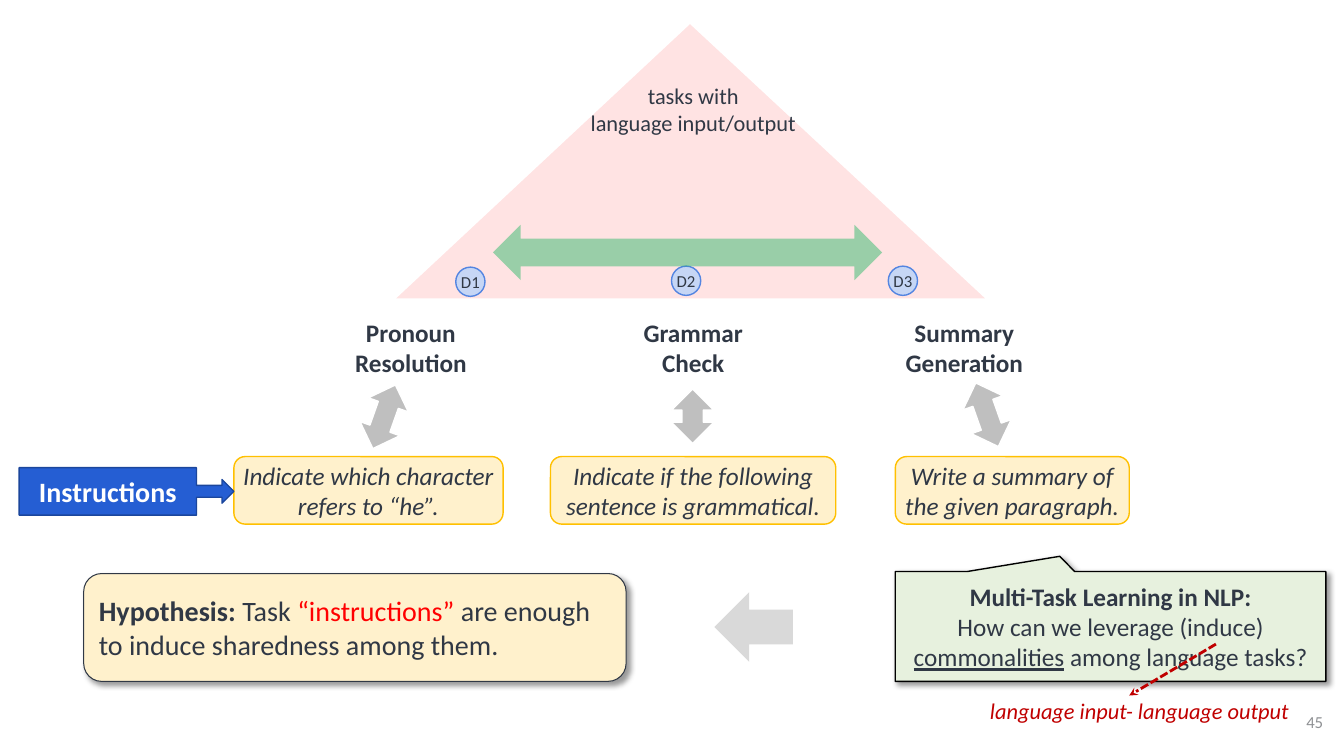
from dataclasses import dataclass
from typing import Optional

from lxml.etree import SubElement
from pptx import Presentation
from pptx.dml.color import RGBColor as RGB
from pptx.enum.dml import MSO_LINE as Dash
from pptx.enum.shapes import MSO_CONNECTOR as Connector, MSO_SHAPE as Kind
from pptx.enum.text import MSO_ANCHOR as Anchor, MSO_AUTO_SIZE as AutoSize, PP_ALIGN as Align
from pptx.oxml.ns import qn
from pptx.util import Inches, Pt


@dataclass(frozen=True)
class Theme:
    font: str = "Calibri"
    ink: str = "303845"
    white: str = "FFFFFF"
    black: str = "000000"
    red: str = "FF0000"
    dark_red: str = "C00000"
    green: str = "00B050"
    pale_green: str = "E7F1DE"
    cream: str = "FFF1CC"
    gold: str = "FFC000"
    blue: str = "255ED3"
    navy: str = "1B469C"
    pale_blue: str = "C6D6F5"
    mid_blue: str = "5485E1"
    grey: str = "BFBFBF"
    pale_grey: str = "D9D9D9"
    number_grey: str = "8F9194"
    small: int = 12
    note: int = 16
    body: int = 18
    large: int = 20


THEME = Theme()
NO_INSETS = (0, 0, 0, 0)
Place = tuple[float, float, float, float]


@dataclass(frozen=True)
class Span:
    text: str
    bold: Optional[bool] = None
    underline: Optional[bool] = None
    color: Optional[str] = None


@dataclass(frozen=True)
class Text:
    paragraphs: tuple[tuple[Span, ...], ...]
    size: int = THEME.body
    color: str = THEME.ink
    bold: bool = False
    italic: bool = False
    align: Align = Align.CENTER
    anchor: Anchor = Anchor.TOP
    insets: Place = (0.1, 0.05, 0.1, 0.05)
    grow: bool = False


@dataclass(frozen=True)
class Figure:
    kind: Kind
    place: Place
    fill: str
    line: Optional[str] = None
    weight: float = 1
    opacity: int = 100
    turn: float = 0
    adjustments: tuple[float, ...] = ()
    shadow: bool = False
    text: Optional[Text] = None


def plain(*paragraphs: str, **style) -> Text:
    """Text with one span per paragraph; a vertical tab breaks the line."""
    return Text(tuple((Span(words),) for words in paragraphs), **style)


def write_span(para, span: Span) -> None:
    for index, words in enumerate(span.text.split("\v")):
        if index:
            para.add_line_break()
        if words:
            run = para.add_run()
            run.text = words
            if span.bold is not None:
                run.font.bold = span.bold
            if span.underline is not None:
                run.font.underline = span.underline
            if span.color:
                run.font.color.rgb = RGB.from_string(span.color)


def write_text(box, text: Text) -> None:
    frame = box.text_frame
    frame.word_wrap = True
    frame.vertical_anchor = text.anchor
    frame.auto_size = AutoSize.SHAPE_TO_FIT_TEXT if text.grow else AutoSize.NONE
    (frame.margin_left, frame.margin_top,
     frame.margin_right, frame.margin_bottom) = map(Inches, text.insets)
    for index, spans in enumerate(text.paragraphs):
        para = frame.add_paragraph() if index else frame.paragraphs[0]
        para.alignment = text.align
        font = para.font
        font.name, font.size = THEME.font, Pt(text.size)
        font.bold, font.italic = text.bold, text.italic
        font.color.rgb = RGB.from_string(text.color)
        for span in spans:
            write_span(para, span)


def draw_label(page, place: Place, text: Text) -> None:
    write_text(page.shapes.add_textbox(*map(Inches, place)), text)


def add_shadow(shape) -> None:
    effects = shape._element.spPr.find(qn("a:effectLst"))
    shadow = SubElement(effects, qn("a:outerShdw"), blurRad=str(Pt(4)), dist=str(Pt(3)),
                        dir="2700000", algn="tl", rotWithShape="0")
    color = SubElement(shadow, qn("a:srgbClr"), val=THEME.black)
    SubElement(color, qn("a:alpha"), val="40000")


def draw_figure(page, figure: Figure) -> None:
    shape = page.shapes.add_shape(figure.kind, *map(Inches, figure.place))
    shape.rotation = figure.turn
    for index, value in enumerate(figure.adjustments):
        shape.adjustments[index] = value
    shape.fill.solid()
    shape.fill.fore_color.rgb = RGB.from_string(figure.fill)
    if figure.opacity < 100:
        color = shape._element.spPr.find(qn("a:solidFill"))[0]
        SubElement(color, qn("a:alpha"), val=str(figure.opacity * 1000))
    if figure.line:
        shape.line.color.rgb = RGB.from_string(figure.line)
        shape.line.width = Pt(figure.weight)
    else:
        shape.line.fill.background()
    shape.shadow.inherit = False
    if figure.shadow:
        add_shadow(shape)
    if figure.text:
        write_text(shape, figure.text)


def draw_dashed_arrow(page, start: tuple[float, float], end: tuple[float, float]) -> None:
    arrow = page.shapes.add_connector(Connector.STRAIGHT, *map(Inches, start + end))
    arrow.line.color.rgb = RGB.from_string(THEME.dark_red)
    arrow.line.width = Pt(2)
    arrow.line.dash_style = Dash.SQUARE_DOT
    SubElement(arrow.line._get_or_add_ln(), qn("a:tailEnd"), type="stealth")
    SubElement(arrow._element.spPr, qn("a:effectLst"))


def dataset(name: str, left: float, top: float) -> Figure:
    return Figure(Kind.OVAL, (left, top, 0.29, 0.29), THEME.pale_blue, THEME.mid_blue,
                  text=plain(name, size=THEME.small, anchor=Anchor.MIDDLE, insets=NO_INSETS))


def instruction(words: str, left: float, width: float) -> Figure:
    return Figure(Kind.FLOWCHART_ALTERNATE_PROCESS, (left, 4.53, width, 0.67),
                  THEME.cream, THEME.gold,
                  text=plain(words, italic=True, insets=NO_INSETS, grow=True))


def task_arrow(left: float, top: float, height: float, turn: float) -> Figure:
    return Figure(Kind.UP_DOWN_ARROW, (left, top, 0.42, height), THEME.grey, THEME.white, turn=turn)


TASKS = (
    ((2.99, 3.1, 2.17, 0.71), plain("Pronoun\vResolution", bold=True, grow=True)),
    ((5.13, 3.1, 3.49, 0.71), plain("Grammar\vCheck", bold=True, grow=True)),
    ((8.48, 3.1, 2.17, 0.71), plain("Summary", "Generation", bold=True, grow=True)),
)
QUESTION = Text(((Span("Multi-Task Learning in NLP:\v", bold=True),
                  Span("How can we leverage (induce) "),
                  Span("commonalities", underline=True),
                  Span(" among language tasks?")),),
                anchor=Anchor.MIDDLE, insets=(0, 0.05, 0, 0.05))
HYPOTHESIS = Text(((Span("Hypothesis: ", bold=True), Span("Task "),
                    Span("“instructions”", color=THEME.red),
                    Span(" are enough to induce sharedness among them.")),),
                  size=THEME.large, align=Align.LEFT, anchor=Anchor.MIDDLE)
PYRAMID = (
    Figure(Kind.ISOSCELES_TRIANGLE, (3.93, 0.24, 5.84, 2.72), THEME.red, opacity=11,
           adjustments=(0.499,)),
    dataset("D1", 4.52, 2.65), dataset("D3", 8.81, 2.64), dataset("D2", 6.66, 2.64),
)
SHARING = (
    Figure(Kind.LEFT_RIGHT_ARROW, (4.89, 2.23, 3.86, 0.55), THEME.green, opacity=40),
    Figure(Kind.RECTANGULAR_CALLOUT, (8.88, 5.67, 4.27, 1.09), THEME.pale_green, THEME.black,
           adjustments=(-0.118, -0.639), shadow=True, text=QUESTION),
)
CONCLUSION = (
    Figure(Kind.ROUNDED_RECTANGLE, (0.83, 5.69, 5.38, 1.07), THEME.cream, THEME.ink, 0.75,
           shadow=True, text=HYPOTHESIS),
    instruction("Indicate which character\vrefers to “he”.", 2.32, 2.67),
    instruction("Indicate if the following sentence is grammatical.", 5.46, 2.83),
    instruction("Write a summary of the given paragraph.", 8.88, 2.32),
    task_arrow(3.6, 3.8, 0.67, 19.5),
    task_arrow(6.66, 3.86, 0.54, 0),
    task_arrow(9.58, 3.78, 0.67, 340.5),
    Figure(Kind.RIGHT_ARROW_CALLOUT, (0.19, 4.64, 2.13, 0.47), THEME.blue, THEME.navy,
           adjustments=(0.25, 0.25, 0.25, 0.826),
           text=plain("Instructions", size=THEME.large, color=THEME.white, bold=True,
                      anchor=Anchor.MIDDLE)),
    Figure(Kind.DOWN_ARROW, (7.13, 5.83, 0.69, 0.78), THEME.pale_grey, turn=90),
)


def main() -> None:
    deck = Presentation()
    deck.slide_width, deck.slide_height = Inches(13.33), Inches(7.5)
    page = deck.slides.add_slide(deck.slide_layouts[6])
    for place, text in TASKS:
        draw_label(page, place, text)
    draw_label(page, (12.75, 6.96, 0.58, 0.4),
               plain("45", size=THEME.small, color=THEME.number_grey, anchor=Anchor.MIDDLE))
    for figure in PYRAMID:
        draw_figure(page, figure)
    draw_label(page, (4.45, 0.77, 4.85, 0.64),
               plain("tasks with\vlanguage input/output", size=THEME.note, grow=True))
    for figure in SHARING:
        draw_figure(page, figure)
    draw_dashed_arrow(page, (12.06, 6.39), (11.2, 6.9))
    draw_label(page, (9.72, 6.87, 3.18, 0.37),
               plain("language input- language output", size=THEME.note, color=THEME.dark_red,
                     italic=True, align=Align.LEFT, grow=True))
    for figure in CONCLUSION:
        draw_figure(page, figure)
    deck.save("out.pptx")


if __name__ == "__main__":
    main()
